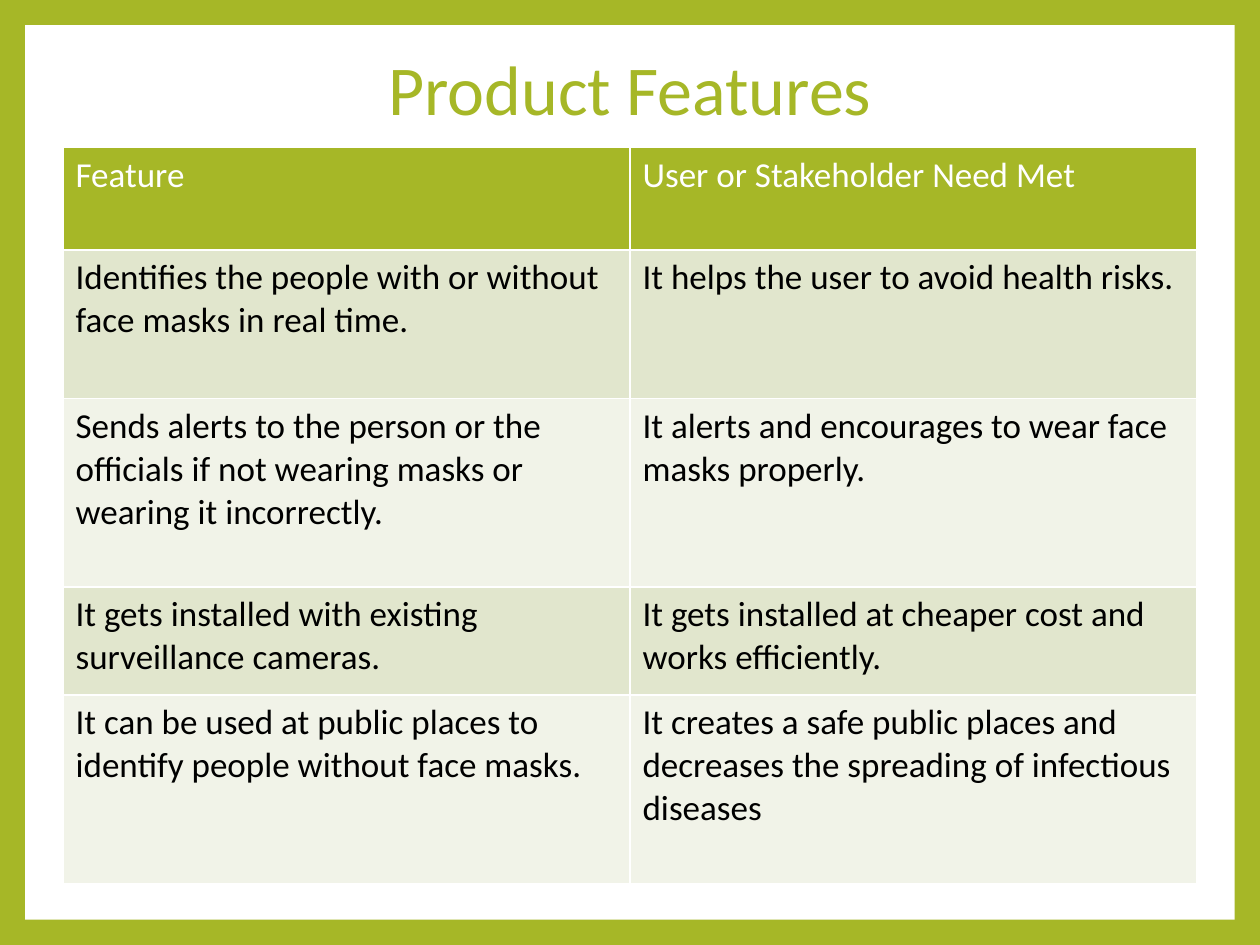
from lxml import etree
from pptx import Presentation
from pptx.dml.color import RGBColor
from pptx.enum.shapes import MSO_SHAPE
from pptx.enum.text import MSO_ANCHOR, PP_ALIGN
from pptx.oxml.ns import qn
from pptx.util import Pt

RECTANGLE = MSO_SHAPE.RECTANGLE
MIDDLE = MSO_ANCHOR.MIDDLE
CENTER = PP_ALIGN.CENTER

# Content
TITLE = "Product Features"
ROWS = [
    ("Feature", "User or Stakeholder Need Met"),
    ("Identifies the people with or without face masks in real time.",
     "It helps the user to avoid health risks."),
    ("Sends alerts to the person or the officials if not wearing masks or wearing it incorrectly.",
     "It alerts and encourages to wear face masks properly."),
    ("It gets installed with existing surveillance cameras.",
     "It gets installed at cheaper cost and works efficiently."),
    ("It can be used at public places to identify people without face masks.",
     "It creates a safe public places and decreases the spreading of infectious diseases"),
]
ROW_HEIGHTS = [58.7, 85, 107.7, 61.7, 107.7]


class Theme:
    font = "Calibri"
    title_size = Pt(40)
    body_size = Pt(20)
    border = Pt(1)
    green = RGBColor.from_string("A6B727")
    white = RGBColor.from_string("FFFFFF")
    black = RGBColor.from_string("000000")
    bands = [RGBColor.from_string("F1F3E8"), RGBColor.from_string("E1E6CD")]


# Layout
WIDTH, HEIGHT = 720, 540
FRAME = 14.4
MARGIN = 36
TITLE_TOP, TITLE_HEIGHT = 21.6, 62.6
TABLE_TOP = TITLE_TOP + TITLE_HEIGHT
TABLE_WIDTH = WIDTH - 2 * MARGIN


def set_font(p, size, color):
    p.font.name = Theme.font
    p.font.size = size
    p.font.bold = False
    p.font.color.rgb = color


def set_borders(cell):
    tcPr = cell._tc.get_or_add_tcPr()
    for side in ("lnL", "lnR", "lnT", "lnB"):
        ln = etree.SubElement(tcPr, qn(f"a:{side}"), w=str(Theme.border))
        fill = etree.SubElement(ln, qn("a:solidFill"))
        etree.SubElement(fill, qn("a:srgbClr"), val=str(Theme.white))


prs = Presentation()
prs.slide_width, prs.slide_height = Pt(WIDTH), Pt(HEIGHT)
s = prs.slides.add_slide(prs.slide_layouts[5])

# Green frame: background with a white panel behind everything
s.background.fill.solid()
s.background.fill.fore_color.rgb = Theme.green
panel = s.shapes.add_shape(RECTANGLE, Pt(FRAME), Pt(FRAME),
                           Pt(WIDTH - 2 * FRAME), Pt(HEIGHT - 2 * FRAME))
panel.shadow.inherit = False
panel.fill.solid()
panel.fill.fore_color.rgb = Theme.white
panel.line.fill.background()
s.shapes._spTree.insert(2, panel._element)

# Title
title = s.shapes.title
title.left, title.top = Pt(MARGIN), Pt(TITLE_TOP)
title.width, title.height = Pt(TABLE_WIDTH), Pt(TITLE_HEIGHT)
tf = title.text_frame
tf.text = TITLE
tf.vertical_anchor = MIDDLE
p = tf.paragraphs[0]
p.alignment = CENTER
p.line_spacing = 0.9
set_font(p, Theme.title_size, Theme.green)

# Feature table
table = s.shapes.add_table(len(ROWS), len(ROWS[0]), Pt(MARGIN), Pt(TABLE_TOP),
                           Pt(TABLE_WIDTH), Pt(sum(ROW_HEIGHTS))).table
for r, (texts, height) in enumerate(zip(ROWS, ROW_HEIGHTS)):
    table.rows[r].height = Pt(height)
    is_header = r == 0
    for c, text in enumerate(texts):
        cell = table.cell(r, c)
        cell.text = text
        set_borders(cell)
        cell.fill.solid()
        cell.fill.fore_color.rgb = Theme.green if is_header else Theme.bands[r % 2]
        set_font(cell.text_frame.paragraphs[0], Theme.body_size,
                 Theme.white if is_header else Theme.black)

prs.save("out.pptx")
